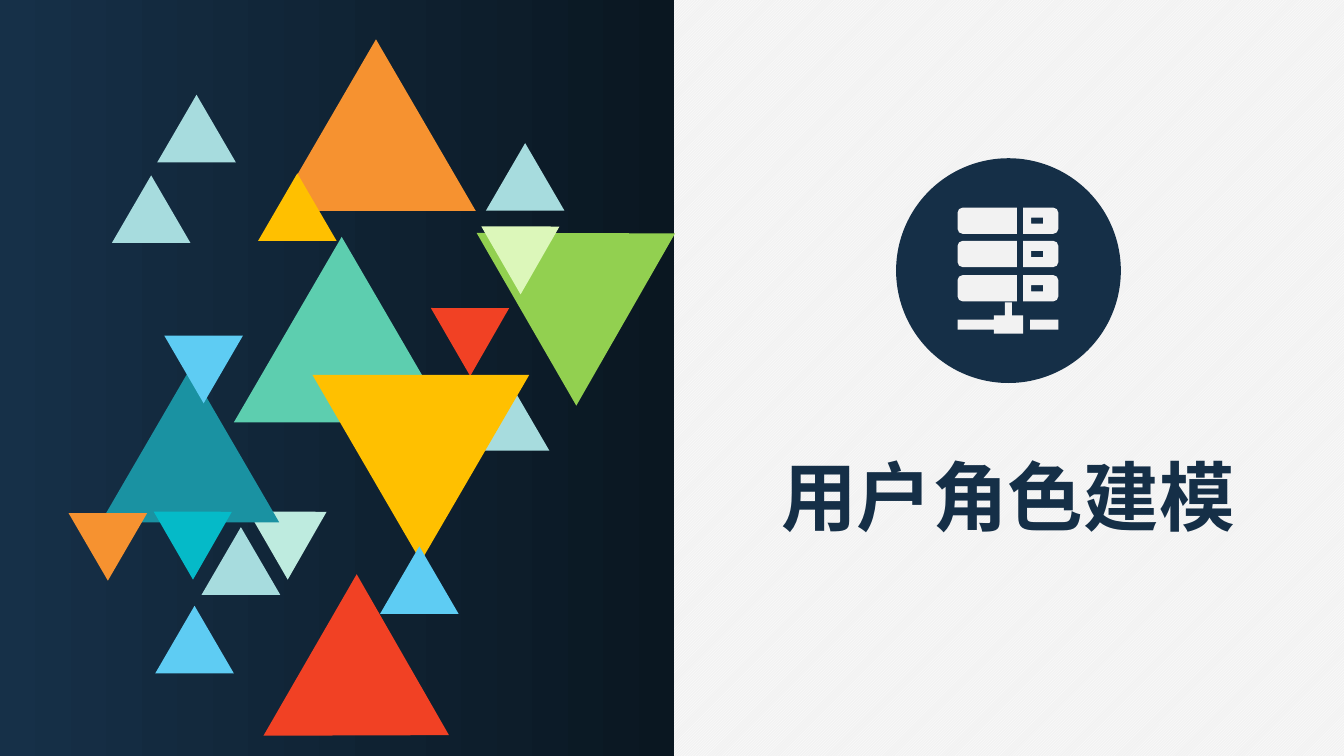
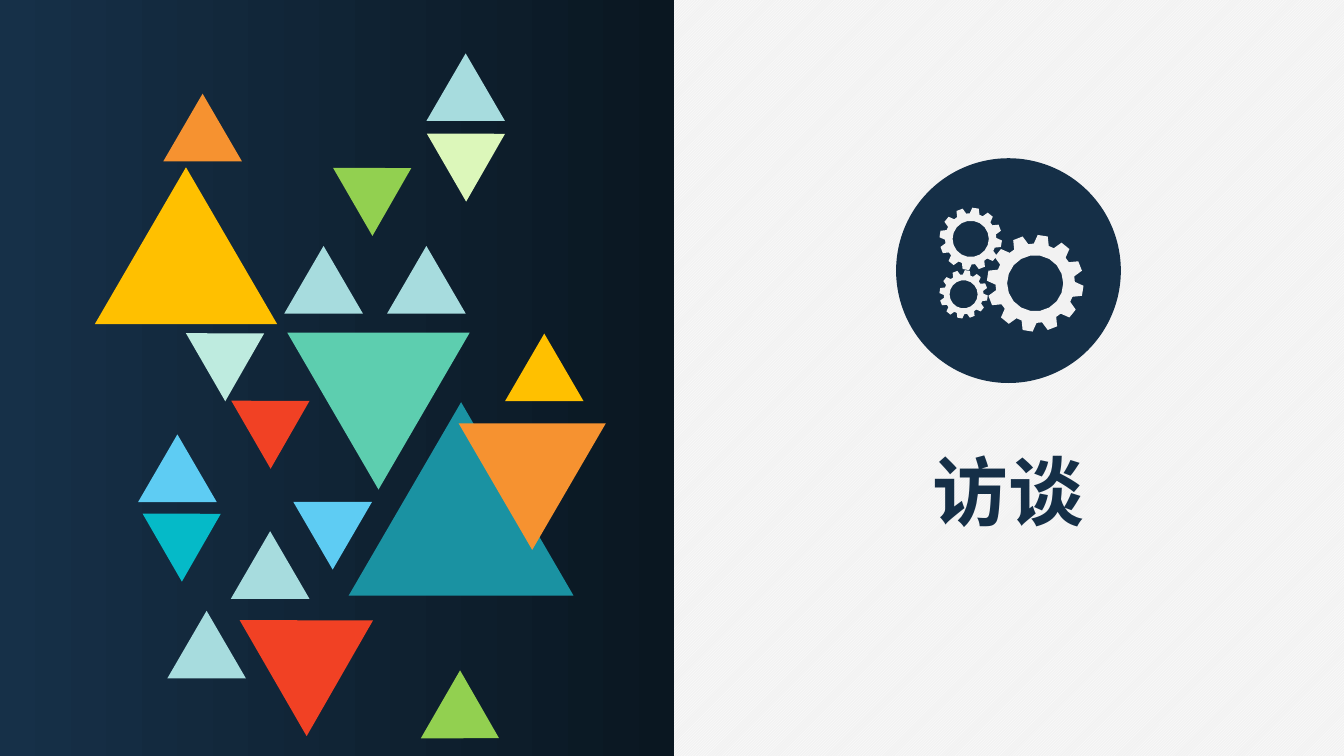
import math
import pptx
import pptx.util
import pptx.dml.color
import pptx.enum.dml
import pptx.enum.shapes
import pptx.enum.text
import pptx.oxml.ns
import lxml.etree

Inches = pptx.util.Inches
SHAPE = pptx.enum.shapes.MSO_SHAPE

# Shared look
FONT = "Noto Sans CJK SC"
NAVY, PAPER, WHITE = "152F47", "F2F2F2", "FFFFFF"
FADE = ["163048", "0A1721"]
MIST, MINT, JADE, TEAL, CYAN = "A7DCDE", "BEEBDF", "5DCEAF", "1A92A2", "05BAC8"
SKY, AMBER, GREEN, LIME = "5ECCF3", "F69230", "92D050", "DCF7BA"
GOLD, RED = "FFC000", "F14124"
WIDE, HIGH = 40 / 3, 7.5
PANEL = 6.69          # width of the dark side
MID = 10.0            # centre line of the light side
DISC = (8.89, 1.57, 2.23)
SMALL, RATIO = 0.78, 0.86   # small triangle width; height to width

# Triangles: left, top, turn in degrees, colour, width if not small
ROLES = [
    (1.11, 1.74, 0, MIST), (4.82, 1.42, 0, MIST), (2.56, 4.91, 60, MINT),
    (2.32, 2.35, 0, JADE, 2.14), (1, 3.66, 0, TEAL, 1.77),
    (2, 5.23, 0, MIST), (1.54, 6.01, 0, SKY), (2.74, 0.39, 0, AMBER, 1.98),
    (1.56, 0.94, 0, MIST), (4.97, 1.89, 60, GREEN, 1.98),
    (4.87, 2.08, 60, LIME), (1.62, 4.91, 60, CYAN), (0.68, 5.09, 180, AMBER),
    (2.56, 1.72, 0, GOLD), (1.63, 3.33, 180, SKY), (4.37, 2.89, 60, RED),
    (2.84, 6.1, 120, RED, 1.85), (4.67, 3.8, 0, MIST),
    (3.1, 3.72, 180, GOLD, 2.15), (3.77, 5.42, 0, SKY),
]
TALKS = [
    (3.84, 2.44, 0, MIST), (4.23, 0.53, 0, MIST), (1.94, 3.14, 60, MINT),
    (2.85, 3.3, 180, JADE, 1.81), (3.46, 3.99, 0, TEAL, 2.23),
    (1.66, 6.06, 0, MIST), (1.37, 4.31, 0, SKY), (1.62, 0.93, 0, AMBER),
    (2.82, 2.44, 0, MIST), (3.4, 1.5, 60, GREEN), (4.33, 1.16, 60, LIME),
    (1.51, 4.93, 60, CYAN), (4.55, 4.2, 180, AMBER, 1.46),
    (5.01, 3.31, 0, GOLD), (2.91, 4.98, 180, SKY), (2.39, 3.81, 60, RED),
    (2.54, 5.87, 60, RED, 1.33), (2.29, 5.27, 0, MIST),
    (0.94, 1.66, 0, GOLD, 1.81), (4.27, 6.82, 120, GREEN),
]

# Server icon: rack tops, then cable parts as left, top, right, bottom
RACKS = [2.06, 2.39, 2.73]
CABLE = [(9.5, 3.17, 9.86, 3.27), (9.86, 3.13, 10.15, 3.31),
         (9.97, 3, 10.04, 3.13), (10.22, 3.17, 10.5, 3.27)]

# Gears: centre x, centre y, radius
GEARS = [(10.27, 2.81, 0.48), (9.63, 2.37, 0.31), (9.56, 2.92, 0.24)]
TEETH, LEAN, HOLE = 12, 9, 0.58
TOOTH = [(-6, 1), (6, 1), (11, 0.82), (19, 0.82)]   # degrees, reach


def color(code):
    return pptx.dml.color.RGBColor.from_string(code)


def paint(shape, code):
    shape.shadow.inherit = False
    shape.line.fill.background()
    shape.fill.solid()
    shape.fill.fore_color.rgb = color(code)


def place(slide, kind, left, top, wide, high, code):
    shape = slide.shapes.add_shape(
        kind, Inches(left), Inches(top), Inches(wide), Inches(high))
    paint(shape, code)
    return shape


# Outlines
def polar(x, y, radius, turn):
    angle = math.radians(turn)
    return x + radius * math.cos(angle), y + radius * math.sin(angle)


def arc(x, y, radius, start, end, step):
    return [polar(x, y, radius, turn) for turn in range(start, end + 1, step)]


def box(left, top, right, low):
    return [(left, top), (right, top), (right, low), (left, low)]


def trace(slide, loops):
    pen = None
    for loop in loops:
        points = [(Inches(x), Inches(y)) for x, y in loop]
        if pen is None:
            pen = slide.shapes.build_freeform(*points[0])
        else:
            pen.move_to(*points[0])
        pen.add_line_segments(points[1:], close=True)
    paint(pen.convert_to_shape(), PAPER)


def server(slide):
    loops = [box(*part) for part in CABLE]
    curve = 0.05
    for top in RACKS:
        low = top + 0.26
        loops.append([(10.09, top), (10.09, low)]
                     + arc(9.5 + curve, low - curve, curve, 90, 180, 45)
                     + arc(9.5 + curve, top + curve, curve, 180, 270, 45))
        loops.append([(10.15, low), (10.15, top)]
                     + arc(10.5 - curve, top + curve, curve, 270, 360, 45)
                     + arc(10.5 - curve, low - curve, curve, 0, 90, 45))
        loops.append(box(10.23, top + 0.1, 10.35, top + 0.16))
    trace(slide, loops)


def gears(slide):
    pitch = 360 // TEETH
    for x, y, radius in GEARS:
        rim = [polar(x, y, radius * reach, LEAN + pitch * i + turn)
               for i in range(TEETH) for turn, reach in TOOTH]
        trace(slide, [rim, arc(x, y, radius * HOLE, 0, 340, 20)])


# Slide parts
def ground(slide):
    fill = slide.background.fill
    fill.patterned()
    fill.pattern = pptx.enum.dml.MSO_PATTERN.LIGHT_UPWARD_DIAGONAL
    fill.fore_color.rgb = color(WHITE)
    fill.back_color.rgb = color(PAPER)
    panel = place(slide, SHAPE.RECTANGLE, 0, 0, PANEL, HIGH, NAVY)
    panel.fill.gradient()
    panel.fill.gradient_angle = 0
    for stop, code, spot in zip(panel.fill.gradient_stops, FADE, (0, 1)):
        stop.color.rgb = color(code)
        stop.position = spot


def title(slide, text, top):
    wide = 0.2 + 0.76 * len(text)
    label = slide.shapes.add_textbox(
        Inches(MID - wide / 2), Inches(top), Inches(wide), Inches(1.01))
    frame = label.text_frame
    frame.word_wrap = False
    frame.auto_size = pptx.enum.text.MSO_AUTO_SIZE.SHAPE_TO_FIT_TEXT
    line = frame.paragraphs[0]
    line.alignment = pptx.enum.text.PP_ALIGN.CENTER
    run = line.add_run()
    run.text = text
    font = run.font
    font.name, font.size, font.bold = FONT, pptx.util.Pt(54), True
    font.color.rgb = color(NAVY)
    east = lxml.etree.SubElement(
        run._r.get_or_add_rPr(), pptx.oxml.ns.qn("a:ea"))
    east.set("typeface", FONT)


def scatter(slide, items):
    for left, top, turn, code, *size in items:
        wide = size[0] if size else SMALL
        shape = place(slide, SHAPE.ISOSCELES_TRIANGLE,
                      left, top, wide, wide * RATIO, code)
        shape.rotation = turn


# Build
SLIDES = [("用户角色建模", 4.41, server, ROLES), ("访谈", 4.36, gears, TALKS)]

deck = pptx.Presentation()
deck.slide_width, deck.slide_height = Inches(WIDE), Inches(HIGH)
for text, top, icon, items in SLIDES:
    slide = deck.slides.add_slide(deck.slide_layouts[6])
    ground(slide)
    title(slide, text, top)
    left, high, size = DISC
    place(slide, SHAPE.OVAL, left, high, size, size, NAVY)
    icon(slide)
    scatter(slide, items)
deck.save("out.pptx")
